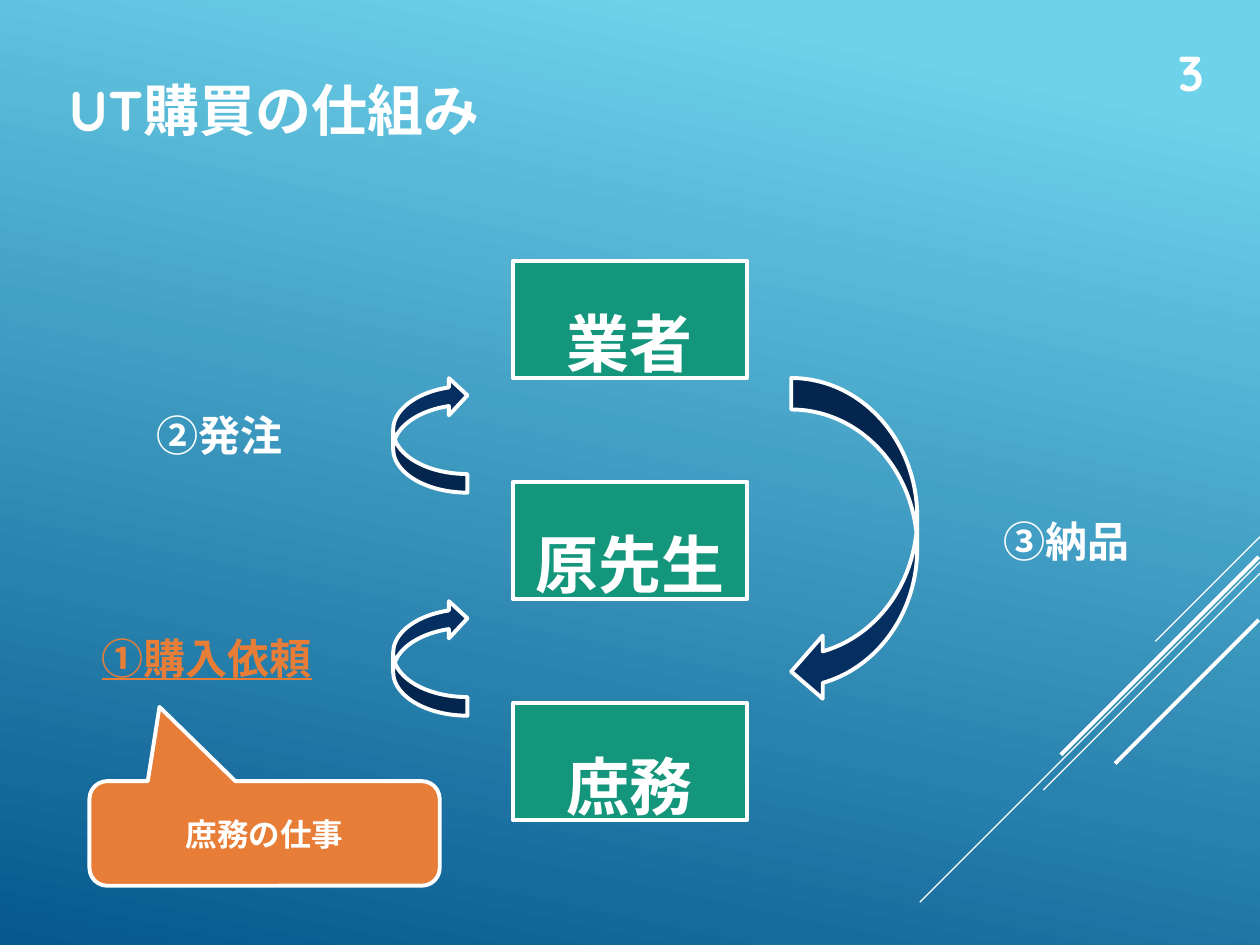
import pptx
import pptx.util
import pptx.dml.color
import pptx.enum.lang
import pptx.enum.shapes
import pptx.enum.text
import pptx.oxml
import pptx.oxml.ns

Inches = pptx.util.Inches
Pt = pptx.util.Pt
RGBColor = pptx.dml.color.RGBColor
Shape = pptx.enum.shapes.MSO_SHAPE
Align = pptx.enum.text.PP_ALIGN
Anchor = pptx.enum.text.MSO_ANCHOR

WHITE = RGBColor(0xFF, 0xFF, 0xFF)
SKY = RGBColor(0x6E, 0xD2, 0xEB)
DEEP_BLUE = RGBColor(0x06, 0x58, 0x8E)
NAVY = RGBColor(0x05, 0x2F, 0x61)
GREEN = RGBColor(0x14, 0x96, 0x7C)
ORANGE = RGBColor(0xE8, 0x7D, 0x37)
FONT = "Quicksand"


def write_text(shape, text, size, align=Align.CENTER, anchor=Anchor.TOP, color=WHITE):
    frame = shape.text_frame
    frame.word_wrap = True
    frame.auto_size = pptx.enum.text.MSO_AUTO_SIZE.NONE
    frame.vertical_anchor = anchor
    frame.text = text
    paragraph = frame.paragraphs[0]
    paragraph.alignment = align
    font = paragraph.font
    font.name = FONT
    font.size = Pt(size)
    font.bold = True
    font.color.rgb = color
    font.language_id = pptx.enum.lang.MSO_LANGUAGE_ID.JAPANESE
    east_asian = pptx.oxml.parse_xml(
        f'<a:ea {pptx.oxml.ns.nsdecls("a")} typeface="{FONT}"/>')
    paragraph._p.pPr.find(pptx.oxml.ns.qn("a:defRPr")).append(east_asian)
    return paragraph


def add_outlined_shape(slide, kind, left, top, width, height, fill):
    shape = slide.shapes.add_shape(
        kind, Inches(left), Inches(top), Inches(width), Inches(height))
    shape.shadow.inherit = False
    shape.fill.solid()
    shape.fill.fore_color.rgb = fill
    shape.line.color.rgb = WHITE
    shape.line.width = Pt(2.25)
    return shape


def add_label(slide, text, left, top, width, height, size=24, align=Align.CENTER, color=WHITE):
    box = slide.shapes.add_textbox(
        Inches(left), Inches(top), Inches(width), Inches(height))
    return write_text(box, text, size, align, color=color)


def paint_background(slide):
    fill = slide.background.fill
    fill.gradient()
    fill.gradient_angle = 258
    for stop, position, color in zip(fill.gradient_stops, (0.1, 1), (SKY, DEEP_BLUE)):
        stop.position = position
        stop.color.rgb = color


def add_diagonal_lines(slide, right, top):
    rays = [(0, 0, 0.83, 0.75), (0, 0.2, 2.7, 0.75), (0, 0.29, 1.72, 0.75),
            (0.01, 0.16, 1.57, 2.25), (0.01, 0.66, 1.14, 2.25)]
    for inset, drop, length, weight in rays:
        start_x, start_y = right - inset, top + drop
        line = slide.shapes.add_connector(
            pptx.enum.shapes.MSO_CONNECTOR.STRAIGHT,
            Inches(start_x), Inches(start_y),
            Inches(start_x - length), Inches(start_y + length))
        line.line.color.rgb = WHITE
        line.line.width = Pt(weight)
        line._element.spPr.append(
            pptx.oxml.parse_xml(f'<a:effectLst {pptx.oxml.ns.nsdecls("a")}/>'))


def add_header(slide, left, top, width, height):
    title = slide.shapes.title
    title.left, title.top = Inches(left), Inches(top)
    title.width, title.height = Inches(width), Inches(height)
    write_text(title, "\u3000UT購買の仕組み", 32, Align.LEFT, Anchor.MIDDLE)
    add_label(slide, "3 ", left, top + 0.29, width - 0.24, 0.57, 28, Align.RIGHT)


def add_parties(slide, left, top, width, height, pitch):
    for index, name in enumerate(("業者", "原先生", "庶務")):
        box = add_outlined_shape(
            slide, Shape.RECTANGLE, left, top + index * pitch, width, height, GREEN)
        write_text(box, name, 36).line_spacing = 1.5


def add_upward_steps(slide, left, top, pitch):
    steps = [("②発注", Align.CENTER, WHITE), ("①購入依頼", Align.LEFT, ORANGE)]
    for index, (text, align, color) in enumerate(steps):
        step_top = top + index * pitch
        arrow = add_outlined_shape(
            slide, Shape.CURVED_LEFT_ARROW, left + 2.41, step_top, 0.59, 0.92, NAVY)
        arrow.rotation = 180
        label = add_label(
            slide, text, left, step_top + 0.21, 2.06, 0.5, align=align, color=color)
        label.font.underline = color == ORANGE


def add_delivery(slide, left, top):
    add_outlined_shape(slide, Shape.CURVED_LEFT_ARROW, left, top, 1, 2.58, NAVY)
    add_label(slide, "③納品", left + 1.36, top + 1.04, 1.65, 0.5)


def add_callout(slide, left, top, width, height):
    callout = add_outlined_shape(
        slide, Shape.ROUNDED_RECTANGULAR_CALLOUT, left, top, width, height, ORANGE)
    for index, value in enumerate((-0.3, -1.21, 0.17)):
        callout.adjustments[index] = value
    write_text(callout, "庶務の仕事", 18, anchor=Anchor.MIDDLE)


presentation = pptx.Presentation()
presentation.slide_width = Inches(10)
presentation.slide_height = Inches(7.5)
slide = presentation.slides.add_slide(presentation.slide_layouts[5])
paint_background(slide)
add_diagonal_lines(slide, 10, 4.26)
add_header(slide, 0, 0, 10, 1.73)
add_parties(slide, 4.07, 2.07, 1.86, 0.93, 1.755)
add_upward_steps(slide, 0.71, 2.99, 1.77)
add_delivery(slide, 6.28, 3)
add_callout(slide, 0.71, 6.2, 2.78, 0.83)
presentation.save("out.pptx")
